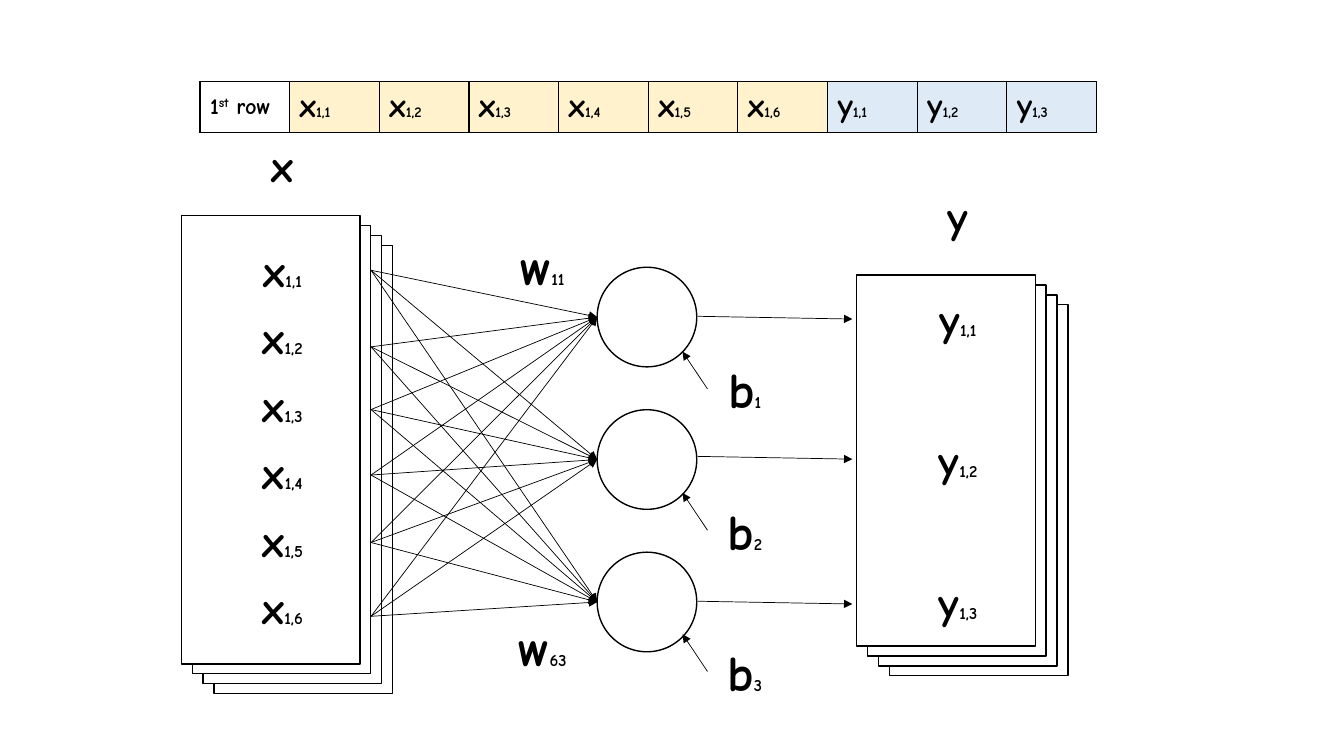
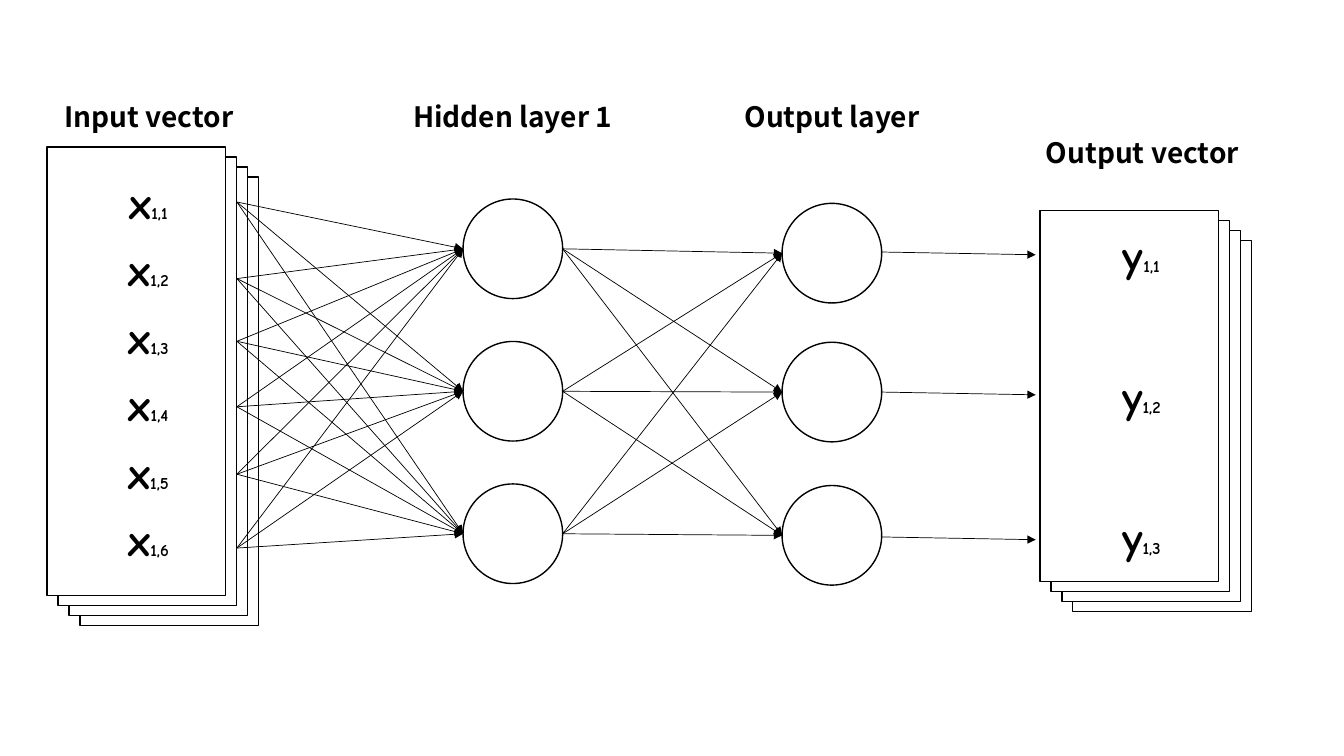
from itertools import product

from lxml import etree
from pptx import Presentation
from pptx.dml.color import RGBColor
from pptx.enum.shapes import MSO_CONNECTOR, MSO_SHAPE
from pptx.enum.text import MSO_ANCHOR, PP_ALIGN
from pptx.oxml.ns import qn
from pptx.util import Cm, Pt

RECT, OVAL, STRAIGHT = MSO_SHAPE.RECTANGLE, MSO_SHAPE.OVAL, MSO_CONNECTOR.STRAIGHT
CENTER, MIDDLE = PP_ALIGN.CENTER, MSO_ANCHOR.MIDDLE

BLACK = RGBColor(0x00, 0x00, 0x00)
WHITE = RGBColor(0xFF, 0xFF, 0xFF)
CREAM = RGBColor(0xFF, 0xF2, 0xCC)
PALE_BLUE = RGBColor(0xDE, 0xEB, 0xF7)

HAND, SANS = "Comic Neue", "Noto Sans CJK KR"

# Shared measures, in cm
SHEET_W, SHEET_COUNT, SHEET_DX, SHEET_DY = 4.5, 4, 0.275, 0.25
INPUT_H, OUTPUT_H = 11.3, 9.35
LABEL_W, LABEL_H = 5.51, 1.63
INPUT_PITCH, OUTPUT_PITCH, HIDDEN_PITCH = 1.7, 3.56, 3.59
NEURON_D = 2.51
INPUT_PORTS = (1.38, 3.31, 4.89, 6.54, 8.24, 10.1)
OUTPUT_PORTS = (1.04, 4.57, 8.22)


# Basic parts
def add_runs(p, runs, font=HAND):
    """Write (text, size) pairs into a paragraph."""
    for text, size in runs:
        r = p.add_run()
        r.text = text
        fmt = {"name": font, "size": Pt(size), "bold": True}
        for key, value in fmt.items():
            setattr(r.font, key, value)
        r.font.color.rgb = BLACK


def add_label(s, x, y, w, h, runs, font=HAND):
    tf = s.shapes.add_textbox(Cm(x), Cm(y), Cm(w), Cm(h)).text_frame
    tf.word_wrap = True
    p = tf.paragraphs[0]
    p.alignment = CENTER
    add_runs(p, runs, font)


def add_outline(s, kind, x, y, w, h):
    sp = s.shapes.add_shape(kind, Cm(x), Cm(y), Cm(w), Cm(h))
    sp.shadow.inherit = False
    sp.fill.solid()
    sp.fill.fore_color.rgb = WHITE
    sp.line.color.rgb = BLACK
    sp.line.width = Pt(1)


def add_arrow(s, start, end):
    c = s.shapes.add_connector(STRAIGHT, *map(Cm, (*start, *end)))
    c.line.color.rgb = BLACK
    c.line.width = Pt(0.5)
    etree.SubElement(c.line._get_or_add_ln(), qn("a:tailEnd"), type="triangle")
    etree.SubElement(c._element.spPr, qn("a:effectLst"))


# Vectors and layers
def add_vector(s, x, y, h, name, count, first, pitch):
    """Stack of sheets with its front corner at x, y, and one label per entry."""
    for i in reversed(range(SHEET_COUNT)):
        add_outline(s, RECT, x + i * SHEET_DX, y + i * SHEET_DY, SHEET_W, h)
    for i in range(count):
        add_label(s, x - 0.2, y + first + i * pitch, LABEL_W, LABEL_H,
                  [(name, 32), (f"1,{i + 1}", 12)])


def add_neurons(s, x, centers):
    for cy in centers:
        add_outline(s, OVAL, x, cy - NEURON_D / 2, NEURON_D, NEURON_D)


def connect_all(s, x1, starts, x2, ends):
    for end, start in product(ends, starts):
        add_arrow(s, (x1, start), (x2, end))


def add_input_side(s, x, y):
    """Input vector and first layer; returns the layer's left edge and centres."""
    add_vector(s, x, y, INPUT_H, "x", 6, 0.56, INPUT_PITCH)
    layer_x = x + 10.48
    centers = [y + 2.56 + i * HIDDEN_PITCH for i in range(3)]
    add_neurons(s, layer_x, centers)
    connect_all(s, x + 4.78, [y + port for port in INPUT_PORTS], layer_x, centers)
    return layer_x, centers


def add_output_side(s, x, y):
    """Output vector and the arrows that lead to it."""
    add_vector(s, x, y, OUTPUT_H, "y", 3, 0.3, OUTPUT_PITCH)
    for port in OUTPUT_PORTS:
        add_arrow(s, (x - 4.01, y + port), (x - 0.11, y + port + 0.07))


def add_heading(s, center, y, text):
    add_label(s, center - 3.5, y, 7, 1.12, [(text, 20)], SANS)


# Table row of the data set
def add_data_row(s, x, y, col_w, h):
    cells = [("x", i, CREAM) for i in range(1, 7)]
    cells += [("y", i, PALE_BLUE) for i in range(1, 4)]
    count = len(cells) + 1
    tbl = s.shapes.add_table(1, count, Cm(x), Cm(y), Cm(col_w * count), Cm(h)).table
    tbl.first_row = tbl.horz_banding = False
    for col in tbl.columns:
        col.width = Cm(col_w)
    for cell in tbl.iter_cells():
        cell.vertical_anchor = MIDDLE
        tcPr = cell._tc.get_or_add_tcPr()
        for side in ("lnL", "lnR", "lnT", "lnB"):
            ln = etree.SubElement(tcPr, qn(f"a:{side}"), w=str(Pt(1)))
            fill = etree.SubElement(ln, qn("a:solidFill"))
            etree.SubElement(fill, qn("a:srgbClr"), val=str(BLACK))

    first = tbl.cell(0, 0)
    first.fill.background()
    p = first.text_frame.paragraphs[0]
    add_runs(p, [("1", 16), ("st", 16), (" row", 16)])
    p.runs[1]._r.get_or_add_rPr().set("baseline", "30000")
    for col, (name, i, color) in enumerate(cells, 1):
        cell = tbl.cell(0, col)
        cell.fill.solid()
        cell.fill.fore_color.rgb = color
        add_runs(cell.text_frame.paragraphs[0], [(name, 24), (f"1,{i}", 10.5)])


# Weights and biases
def add_parameter(s, x, y, name, index):
    add_label(s, x, y, 1.88, 1.8, [(name, 36), (index, 12)])


def add_biases(s, x, y):
    for i in range(3):
        start = y + i * OUTPUT_PITCH
        add_arrow(s, (x, start), (x - 0.63, start - 0.94))
        add_parameter(s, x, start - 0.89, "b", str(i + 1))


# Slides
def single_layer_slide(s):
    add_input_side(s, 4.57, 5.43)
    add_output_side(s, 21.59, 6.93)
    add_label(s, 4.37, 3.35, LABEL_W, LABEL_H, [("x", 32)])
    add_label(s, 21.39, 4.62, LABEL_W, LABEL_H, [("y", 32)])
    add_biases(s, 17.83, 9.8)
    add_parameter(s, 12.73, 5.79, "w", "11")
    add_parameter(s, 12.73, 15.39, "w", "63")
    add_data_row(s, 5.04, 2.06, 2.26, 1.26)


def hidden_layer_slide(s):
    hidden_x, hidden = add_input_side(s, 1.19, 3.71)
    add_output_side(s, 26.21, 5.31)
    output_x, output = 19.71, (6.38, 9.88, 13.49)
    add_neurons(s, output_x, output)
    connect_all(s, hidden_x + NEURON_D, hidden, output_x, output)
    add_heading(s, 3.75, 2.39, "Input vector")
    add_heading(s, 12.92, 2.39, "Hidden layer 1")
    add_heading(s, 20.97, 2.39, "Output layer")
    add_heading(s, 28.79, 3.29, "Output vector")


prs = Presentation()
prs.slide_width, prs.slide_height = Cm(33.87), Cm(19.05)
for build in (single_layer_slide, hidden_layer_slide):
    build(prs.slides.add_slide(prs.slide_layouts[6]))
prs.save("out.pptx")
